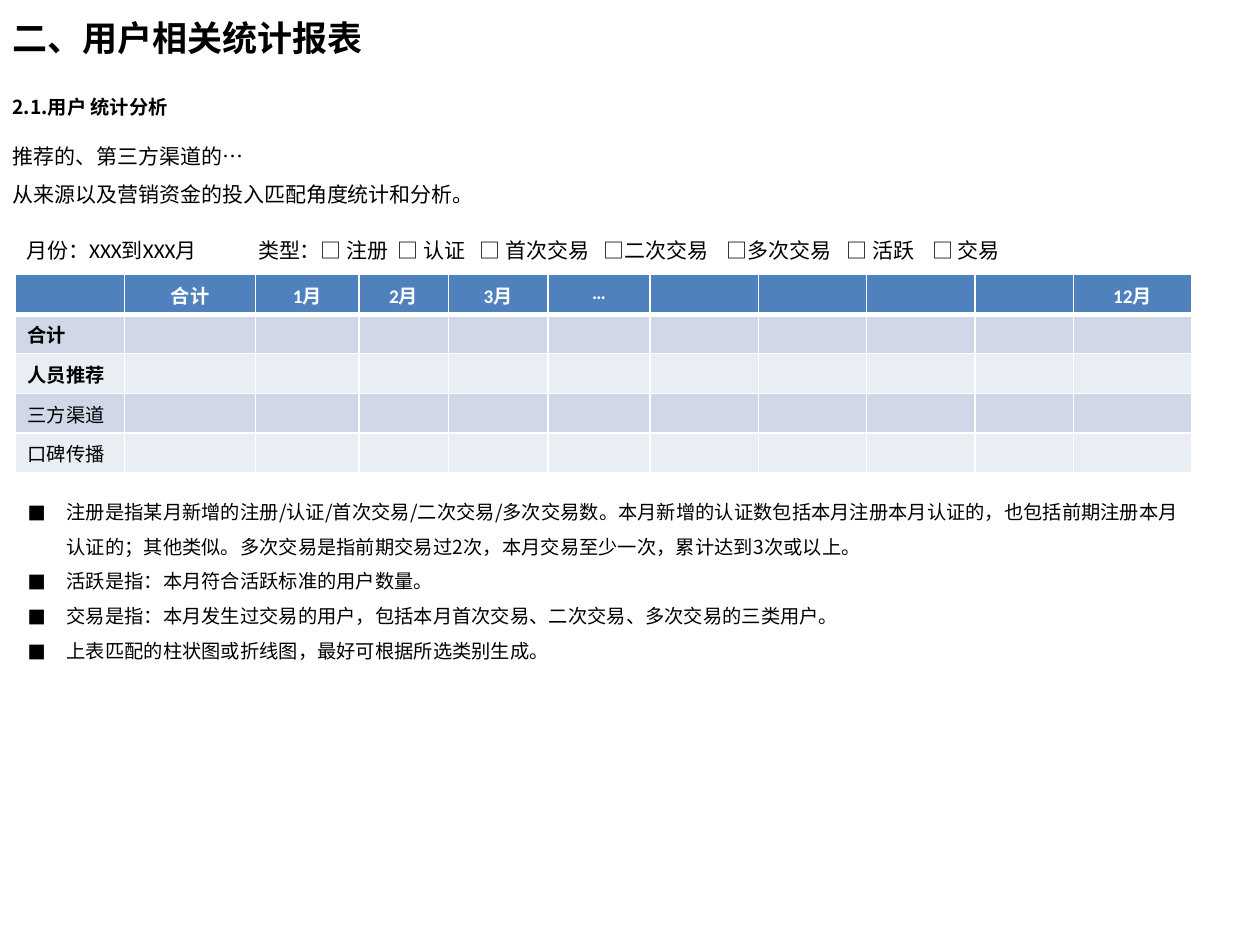
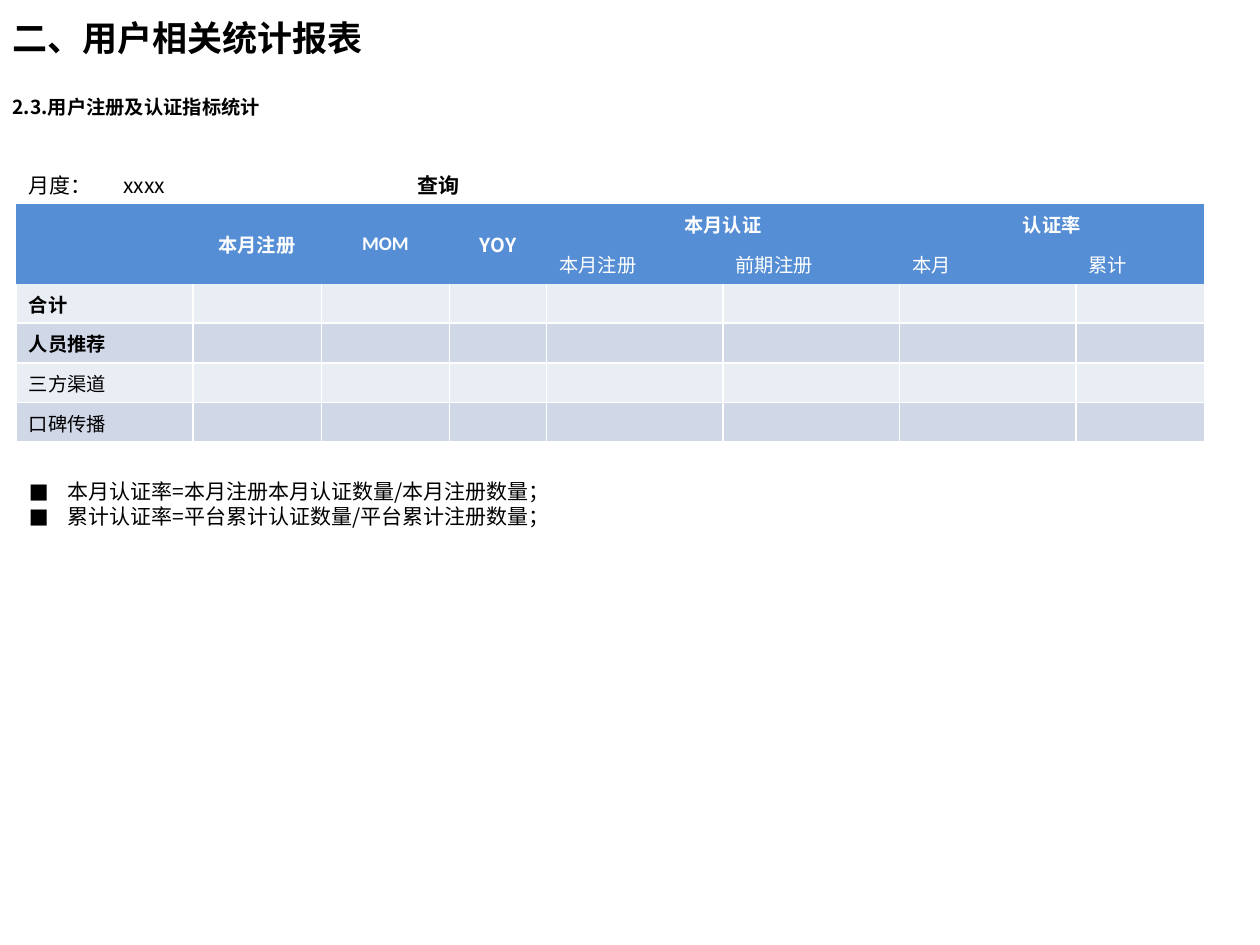
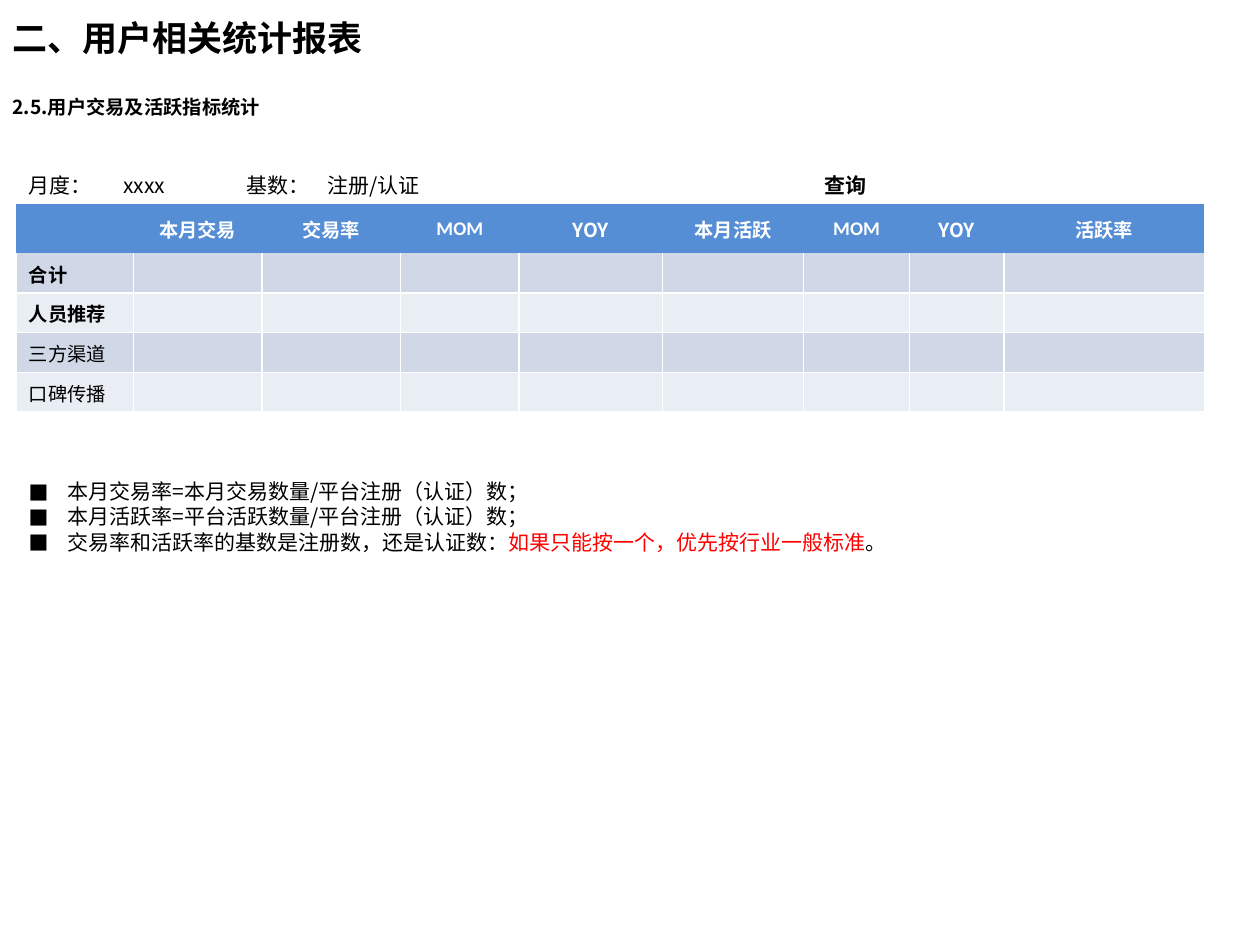
from dataclasses import dataclass

from lxml import etree
from pptx import Presentation
from pptx import util as u
from pptx.dml import color
from pptx.enum import text
from pptx.oxml import ns


@dataclass(frozen=True)
class Theme:
    sans: str = "Noto Sans CJK SC"
    latin: str = "Calibri"
    ink: str = "000000"
    white: str = "FFFFFF"
    alert: str = "FF0000"
    header: str = "4F81BD"
    flat_header: str = "558ED5"
    bands: tuple = ("E9EDF4", "D0D8E8")
    title: int = 20
    body: int = 12
    small: int = 11


THEME = Theme()
TITLE = "二、用户相关统计报表"
ROW_LABELS = ("合计", "人员推荐", "三方渠道", "口碑传播")
BOLD_LABELS = ROW_LABELS[:2]
SIDES = {"l": "lnL", "r": "lnR", "t": "lnT", "b": "lnB"}


def add_xml(parent, tag, **attributes):
    child = etree.SubElement(parent, ns.qn(f"a:{tag}"))
    for name, value in attributes.items():
        child.set(name, str(value))
    return child


class ReportDeck:
    def __init__(self, theme):
        self.theme = theme
        self.deck = Presentation()
        self.deck.slide_width, self.deck.slide_height = u.Inches(10), u.Inches(7.5)
        self.page = None

    def add_page(self, heading):
        self.page = self.deck.slides.add_slide(self.deck.slide_layouts[6])
        self.add_text((0, -0.01, 7.36, 0.61), [TITLE], size=self.theme.title, bold=True,
                      anchor=text.MSO_ANCHOR.MIDDLE, fit=False)
        self.add_text((0, 0.71, 8.62, 0.29), [heading], size=self.theme.small, bold=True)

    def add_span(self, para, words, size, bold=False, ink=None, face=None):
        span = para.add_run()
        span.text = words
        formats = {"size": u.Pt(size), "bold": bold, "name": face or self.theme.sans}
        for name, value in formats.items():
            setattr(span.font, name, value)
        span.font.color.rgb = color.RGBColor.from_string(ink or self.theme.ink)
        add_xml(span.font._element, "ea", typeface=self.theme.sans)

    def add_text(self, place, lines, size=None, bold=False, face=None, align=None, spacing=None,
                 anchor=text.MSO_ANCHOR.TOP, fit=True, bullets=False, tabs=()):
        """Add a text box; a line is a string or a list of (words, colour) pairs."""
        box = self.page.shapes.add_textbox(*map(u.Inches, place))
        frame = box.text_frame
        formats = {"word_wrap": True, "vertical_anchor": anchor,
                   "auto_size": text.MSO_AUTO_SIZE.SHAPE_TO_FIT_TEXT if fit else text.MSO_AUTO_SIZE.NONE}
        for name, value in formats.items():
            setattr(frame, name, value)
        for index, line in enumerate(lines):
            para = frame.add_paragraph() if index else frame.paragraphs[0]
            para.alignment, para.line_spacing = align, spacing
            self.set_indents(para, bullets, tabs)
            spans = [(line, None)] if isinstance(line, str) else line
            for words, ink in spans:
                self.add_span(para, words, size or self.theme.body, bold, ink, face)

    def set_indents(self, para, bullets, tabs):
        props = para._p.get_or_add_pPr()
        if bullets:
            props.set("marL", str(u.Inches(0.31)))
            props.set("indent", str(u.Inches(-0.31)))
            add_xml(props, "buFont", typeface=self.theme.latin)
            add_xml(props, "buChar", char="■")
        if tabs:
            stops = add_xml(props, "tabLst")
            for stop in tabs:
                add_xml(stops, "tab", pos=u.Inches(stop), algn="l")

    def add_notes_list(self, place, lines, **formats):
        self.add_text(place, lines, bullets=True, **formats)

    def add_query(self, left):
        self.add_text((left, 1.32, 1.06, 0.3), ["查询"], bold=True, align=text.PP_ALIGN.CENTER)

    def add_report_table(self, place, widths, headers, merges=(), header_height=None, flat=True):
        """Add header rows above the shared row labels; a flat header has no grid lines."""
        count = len(headers) + len(ROW_LABELS)
        table = self.page.shapes.add_table(count, len(widths), *map(u.Inches, place)).table
        table.first_row = table.horz_banding = False
        for column, width in zip(table.columns, widths):
            column.width = u.Inches(width)
        if header_height:
            table.rows[0].height = u.Inches(header_height)
            for index in range(1, count):
                table.rows[index].height = u.Inches((place[3] - header_height) / (count - 1))
        labels = [[label] + [""] * (len(widths) - 1) for label in ROW_LABELS]
        for row, words_row in enumerate([*headers, *labels]):
            for column, words in enumerate(words_row):
                cell = table.cell(row, column)
                if row < len(headers):
                    self.fill_header(cell, words, row, flat)
                else:
                    self.fill_body(cell, words, row, flat and row == len(headers))
        for first, last in merges:
            table.cell(*first).merge(table.cell(*last))

    def fill_header(self, cell, words, row, flat):
        align = text.PP_ALIGN.LEFT if row else text.PP_ALIGN.CENTER
        face = self.theme.sans if words == "YOY" else self.theme.latin
        cell.vertical_anchor = text.MSO_ANCHOR.MIDDLE if flat else text.MSO_ANCHOR.TOP
        self.set_cell(cell, words, bold=row == 0, ink=self.theme.white, face=face, align=align)
        borders = {} if flat else {"l": 1, "r": 1, "t": 1, "b": 3}
        self.paint_cell(cell, self.theme.flat_header if flat else self.theme.header, borders)

    def fill_body(self, cell, words, row, open_top):
        self.set_cell(cell, words, bold=words in BOLD_LABELS)
        borders = dict.fromkeys("lrb" if open_top else "lrtb", 1)
        if not open_top and row == 1:
            borders["t"] = 3
        self.paint_cell(cell, self.theme.bands[row % 2], borders)

    def set_cell(self, cell, words, align=None, **formats):
        para = cell.text_frame.paragraphs[0]
        para.alignment = align
        if words:
            self.add_span(para, words, self.theme.small, **formats)
        else:
            add_xml(para._p, "endParaRPr", sz=self.theme.small * 100)

    def paint_cell(self, cell, fill, borders):
        props = cell._tc.get_or_add_tcPr()
        for side, tag in SIDES.items():
            line = add_xml(props, tag, w=u.Pt(borders.get(side, 0)))
            if side in borders:
                add_xml(add_xml(line, "solidFill"), "srgbClr", val=self.theme.white)
            else:
                add_xml(line, "noFill")
        cell.fill.solid()
        cell.fill.fore_color.rgb = color.RGBColor.from_string(fill)


def add_user_analysis(report):
    report.add_page("2.1.用户 统计分析")
    report.add_text((0, 0.99, 10, 0.71),
                    ["推荐的、第三方渠道的…", "从来源以及营销资金的投入匹配角度统计和分析。"], spacing=1.5)
    report.add_report_table(
        (0.12, 2.18, 9.34, 1.57),
        (0.87, 1.04, 0.82, 0.71, 0.79, 0.81, 0.86, 0.86, 0.86, 0.78, 0.94),
        [["", "合计", "1月", "2月", "3月", "…", "", "", "", "", "12月"]], flat=False)
    report.add_text((0.11, 1.84, 2.68, 0.3), ["月份：XXX到XXX月"], face=THEME.latin)
    report.add_text((1.95, 1.84, 7.4, 0.3),
                    ["类型：□ 注册\t□ 认证\t□ 首次交易\t□二次交易\t□多次交易\t□ 活跃\t□ 交易"],
                    tabs=(1.11, 1.76, 2.74, 3.72, 4.67, 5.35))
    report.add_notes_list((0.12, 3.83, 9.38, 1.49), [
        "注册是指某月新增的注册/认证/首次交易/二次交易/多次交易数。本月新增的认证数包括本月注册本月认证的，"
        "也包括前期注册本月认证的；其他类似。多次交易是指前期交易过2次，本月交易至少一次，累计达到3次或以上。",
        "活跃是指：本月符合活跃标准的用户数量。",
        "交易是指：本月发生过交易的用户，包括本月首次交易、二次交易、多次交易的三类用户。",
        "上表匹配的柱状图或折线图，最好可根据所选类别生成。",
    ], size=THEME.small, spacing=1.5)


def add_registration(report):
    report.add_page("2.3.用户注册及认证指标统计")
    stacked = [((0, column), (1, column)) for column in range(4)]
    paired = [((0, column), (0, column + 1)) for column in (4, 6)]
    report.add_report_table(
        (0.13, 1.62, 9.44, 1.89), (1.4, 1.02, 1.02, 0.77, 1.4, 1.4, 1.4, 1.02),
        [["", "本月注册", "MOM", "YOY", "本月认证", "", "认证率", ""],
         ["", "", "", "", "本月注册", "前期注册", "本月", "累计"]],
        merges=stacked + paired)
    report.add_notes_list((0.13, 3.75, 5.35, 0.5), [
        "本月认证率=本月注册本月认证数量/本月注册数量；",
        "累计认证率=平台累计认证数量/平台累计注册数量；",
    ])
    report.add_text((0.13, 1.32, 2.11, 0.3), ["月度：\txxxx"], tabs=(0.75,))
    report.add_query(2.95)


def add_trading(report):
    report.add_page("2.5.用户交易及活跃指标统计")
    report.add_report_table(
        (0.13, 1.62, 9.44, 1.65), (0.93, 1.02, 1.1, 0.94, 1.14, 1.12, 0.84, 0.75, 1.59),
        [["", "本月交易", "交易率", "MOM", "YOY", "本月活跃", "MOM", "YOY", "活跃率"]],
        header_height=0.39)
    report.add_notes_list((0.13, 3.75, 9.44, 0.71), [
        "本月交易率=本月交易数量/平台注册（认证）数；",
        "本月活跃率=平台活跃数量/平台注册（认证）数；",
        [("交易率和活跃率的基数是注册数，还是认证数：", None),
         ("如果只能按一个，优先按行业一般标准", THEME.alert), ("。", None)],
    ])
    report.add_text((0.13, 1.32, 1.56, 0.3), ["月度：\txxxx"], tabs=(0.75,))
    report.add_query(6.18)
    report.add_text((1.86, 1.32, 2.04, 0.3), ["基数：\t注册/认证"], tabs=(0.64,))


def main():
    report = ReportDeck(THEME)
    add_user_analysis(report)
    add_registration(report)
    add_trading(report)
    report.deck.save("out.pptx")


if __name__ == "__main__":
    main()
